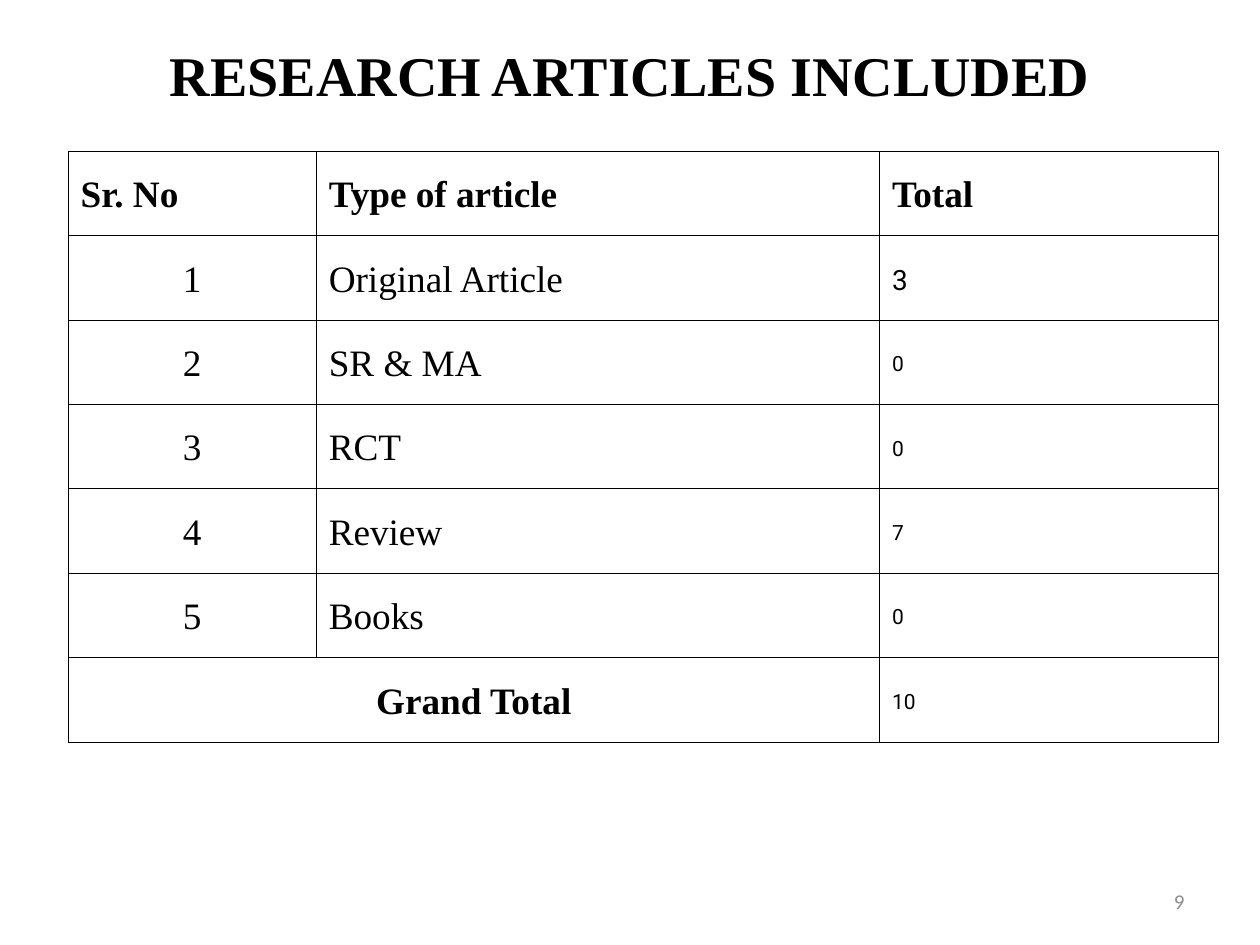
from lxml.etree import SubElement
from pptx import Presentation
from pptx.dml.color import RGBColor
from pptx.enum.text import MSO_ANCHOR, PP_ALIGN
from pptx.oxml.ns import qn
from pptx.util import Inches, Pt

SERIF = "Times New Roman"
BLACK = "000000"
HEADINGS = ["Sr. No", "Type of article", "Total "]
ARTICLES = [("Original Article", 3), ("SR & MA", 0), ("RCT", 0), ("Review", 7), ("Books", 0)]
COLUMN_WIDTHS = [1.97, 4.47, 2.69]
ROW_HEIGHT = 0.67


def color(hex_value):
    return RGBColor.from_string(hex_value)


def write(frame, text, size, font=SERIF, bold=False, align=PP_ALIGN.LEFT, fill=BLACK):
    frame.word_wrap = True
    frame.vertical_anchor = MSO_ANCHOR.MIDDLE
    paragraph = frame.paragraphs[0]
    paragraph.text = text
    paragraph.alignment = align
    paragraph.font.name = font
    paragraph.font.size = Pt(size)
    paragraph.font.bold = bold
    paragraph.font.color.rgb = color(fill)
    return paragraph


def place(shape, left, top, width, height):
    shape.left, shape.top = Inches(left), Inches(top)
    shape.width, shape.height = Inches(width), Inches(height)


def add_title(page, text):
    title = page.shapes.title
    place(title, 0.5, 0.25, 9, 0.67)
    write(title.text_frame, text, 32, bold=True, align=PP_ALIGN.CENTER)


def add_page_number(page, number):
    box = page.shapes.add_textbox(Inches(7.17), Inches(6.95), Inches(2.33), Inches(0.4))
    write(box.text_frame, str(number), 12, "Calibri", align=PP_ALIGN.RIGHT, fill="8C8C8C")


def add_borders(cell):
    """Draw a thin black line on all four sides; lines must precede the fill."""
    properties = cell._tc.get_or_add_tcPr()
    for side in ("lnL", "lnR", "lnT", "lnB"):
        line = SubElement(properties, qn(f"a:{side}"), w=str(Pt(0.37)))
        solid = SubElement(line, qn("a:solidFill"))
        SubElement(solid, qn("a:srgbClr"), val=BLACK)


def fill_cell(cell, text, size=21.3, line_spacing=25.6, **style):
    cell.margin_left = cell.margin_right = Inches(0.1)
    cell.margin_top = cell.margin_bottom = Inches(0.1)
    cell.vertical_anchor = MSO_ANCHOR.MIDDLE
    paragraph = write(cell.text_frame, text, size, **style)
    paragraph.line_spacing = Pt(line_spacing)


def fill_count(cell, count, size=12):
    fill_cell(cell, str(count), size, size * 1.4, font="Roboto")


def add_article_table(page):
    row_count = len(ARTICLES) + 2
    frame = page.shapes.add_table(
        row_count, len(HEADINGS), Inches(0.54), Inches(1.2),
        Inches(sum(COLUMN_WIDTHS)), Inches(ROW_HEIGHT * row_count))
    table = frame.table
    table.first_row = table.horz_banding = False
    for column, width in zip(table.columns, COLUMN_WIDTHS):
        column.width = Inches(width)
    for row in table.rows:
        row.height = Inches(ROW_HEIGHT)
    for cell in table.iter_cells():
        add_borders(cell)
        cell.fill.background()

    for column, heading in enumerate(HEADINGS):
        fill_cell(table.cell(0, column), heading, bold=True, align=PP_ALIGN.JUSTIFY)
    for number, (article, count) in enumerate(ARTICLES, start=1):
        fill_cell(table.cell(number, 0), str(number), align=PP_ALIGN.CENTER)
        fill_cell(table.cell(number, 1), article)
        fill_count(table.cell(number, 2), count, size=16 if number == 1 else 12)

    last = row_count - 1
    table.cell(last, 0).merge(table.cell(last, 1))
    fill_cell(table.cell(last, 0), "Grand Total", bold=True, align=PP_ALIGN.CENTER)
    fill_count(table.cell(last, 2), sum(count for _, count in ARTICLES))


def main():
    deck = Presentation()
    deck.slide_width, deck.slide_height = Inches(10), Inches(7.5)
    page = deck.slides.add_slide(deck.slide_layouts.get_by_name("Title Only"))
    add_title(page, "RESEARCH ARTICLES INCLUDED")
    add_page_number(page, 9)
    add_article_table(page)
    deck.save("out.pptx")


if __name__ == "__main__":
    main()
